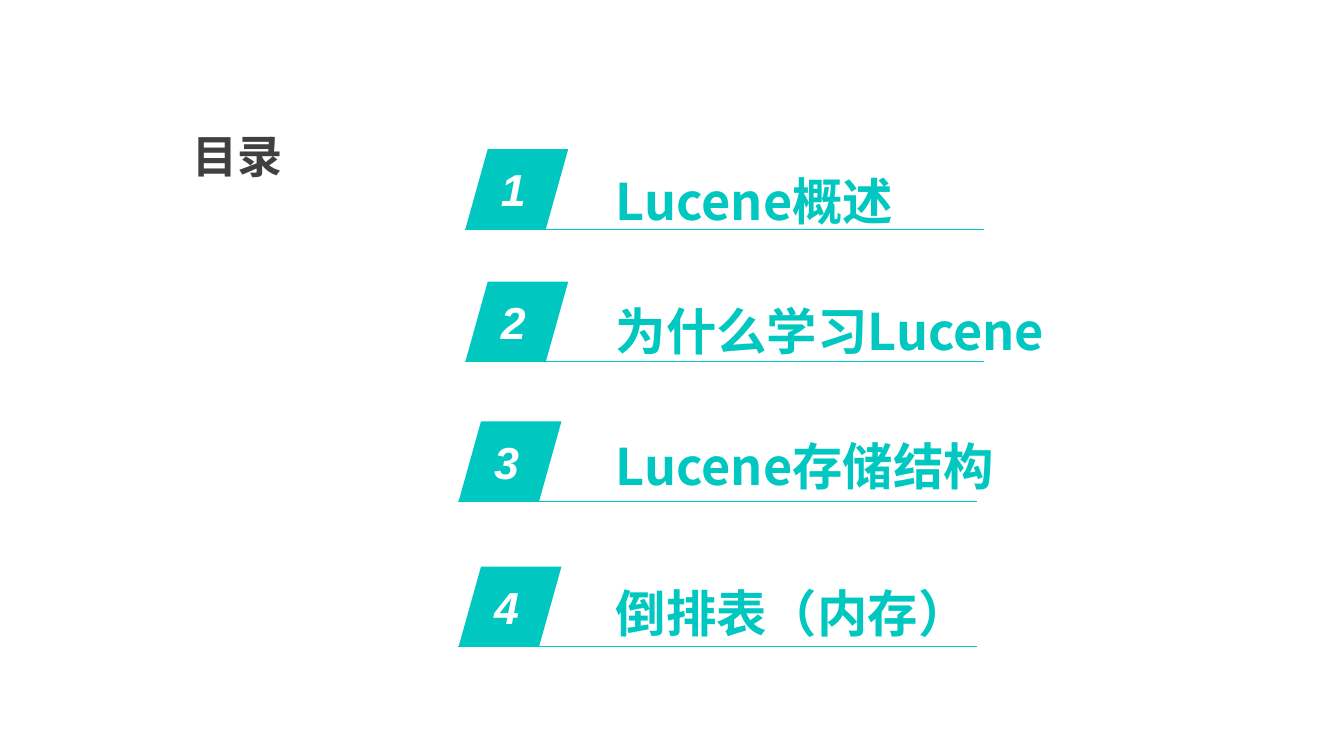
from lxml import etree
from pptx import Presentation
from pptx.dml.color import RGBColor
from pptx.enum.shapes import MSO_CONNECTOR, MSO_SHAPE
from pptx.enum.text import MSO_ANCHOR as ANCHOR, PP_ALIGN as ALIGN
from pptx.oxml.ns import qn
from pptx.util import Cm, Pt


def rgb(value):
    return RGBColor.from_string(value)


class Deck:
    teal = "00C8C1"
    dark = "404040"
    white = "FFFFFF"

    def __init__(self):
        self.prs = Presentation()
        self.prs.slide_width = Cm(33.87)
        self.prs.slide_height = Cm(19.05)
        self.s = self.prs.slides.add_slide(self.prs.slide_layouts[6])

    def text(self, x, y, w, h, words, font, size, color, inset=0.13,
             anchor=ANCHOR.TOP, align=ALIGN.LEFT, italic=False, spacing=1.0):
        tf = self.s.shapes.add_textbox(Cm(x), Cm(y), Cm(w), Cm(h)).text_frame
        tf.word_wrap = True
        tf.vertical_anchor = anchor
        tf.margin_left = tf.margin_right = Cm(inset)
        tf.margin_top = tf.margin_bottom = Cm(inset)
        p = tf.paragraphs[0]
        p.alignment = align
        p.line_spacing = spacing
        r = p.add_run()
        r.text = words
        r.font.name = font
        r.font.size = Pt(size)
        r.font.bold = True
        r.font.italic = italic
        r.font.color.rgb = rgb(color)
        ea = etree.SubElement(r.font._element, qn("a:ea"))
        ea.set("typeface", font)

    def tile(self, x, y, w, h, slant):
        sp = self.s.shapes.add_shape(MSO_SHAPE.PARALLELOGRAM,
                                     Cm(x), Cm(y), Cm(w), Cm(h))
        sp.adjustments[0] = slant
        sp.shadow.inherit = False
        sp.fill.solid()
        sp.fill.fore_color.rgb = rgb(self.teal)
        sp.line.fill.background()

    def rule(self, x, y, w):
        line = self.s.shapes.add_connector(MSO_CONNECTOR.STRAIGHT,
                                           Cm(x), Cm(y), Cm(x + w), Cm(y))
        line.line.color.rgb = rgb(self.teal)
        line.line.width = Pt(0.5)
        etree.SubElement(line._element.spPr, qn("a:effectLst"))

    def entry(self, number, x, y, label, label_y, label_w, spacing):
        self.tile(x, y, 2.59, 2.01, 0.28)
        self.text(x + 0.46, y + 0.33, 1.5, 1.35, str(number), "Arial", 32,
                  self.white, inset=0, anchor=ANCHOR.MIDDLE,
                  align=ALIGN.CENTER, italic=True)
        self.rule(x - 0.02, y + 2.01, 13.08)
        self.text(15.39, label_y, label_w, 2, label, "Noto Sans CJK SC", 36,
                  self.teal, spacing=spacing)


def main():
    deck = Deck()
    deck.text(4.72, 3, 9.07, 1.85, "目录", "Noto Sans CJK JP", 32.2,
              deck.dark, anchor=ANCHOR.MIDDLE)
    entries = [
        (11.73, 3.76, "Lucene概述", 3.78, 13.69, 1.25),
        (11.73, 7.1, "为什么学习Lucene", 7.06, 15.09, 1.25),
        (11.56, 10.62, "Lucene存储结构", 10.46, 11.2, 1.25),
        (11.56, 14.28, "倒排表（内存）", 14.53, 10.31, 1.0),
    ]
    for number, entry in enumerate(entries, 1):
        deck.entry(number, *entry)
    deck.prs.save("out.pptx")


if __name__ == "__main__":
    main()
